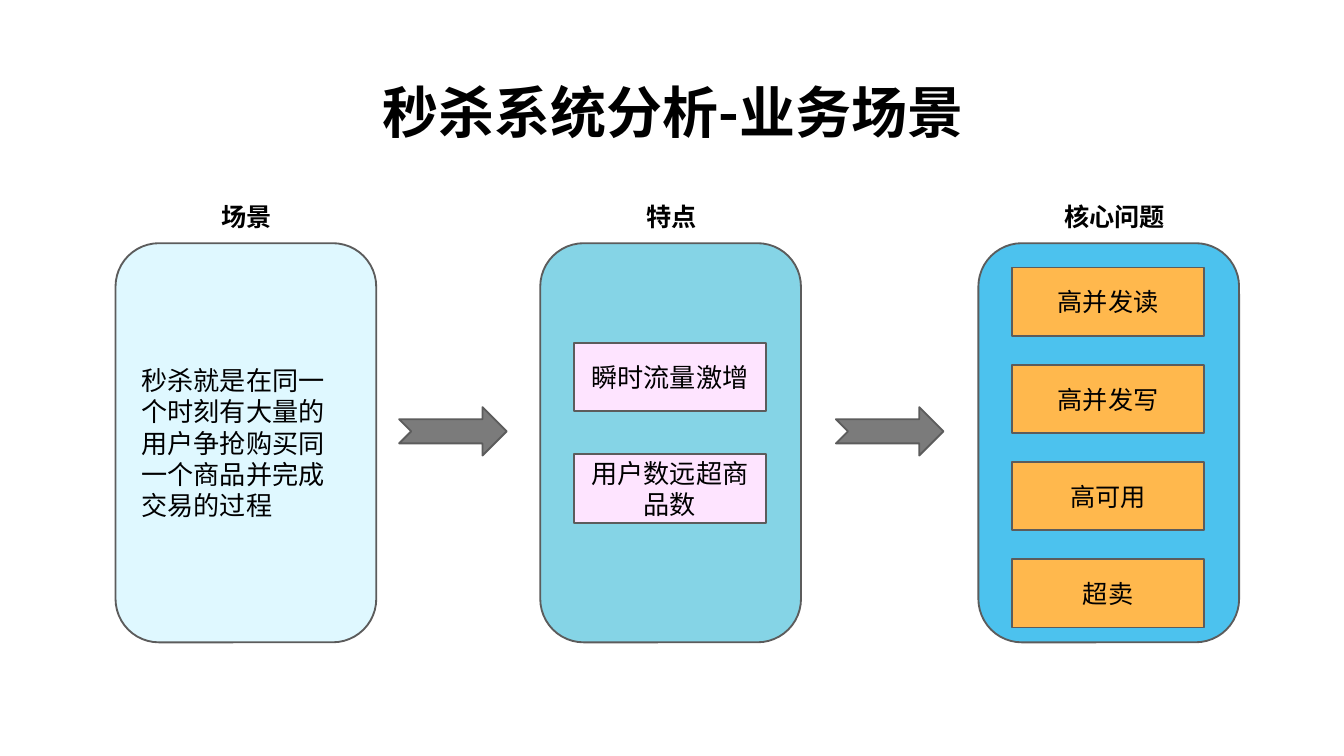
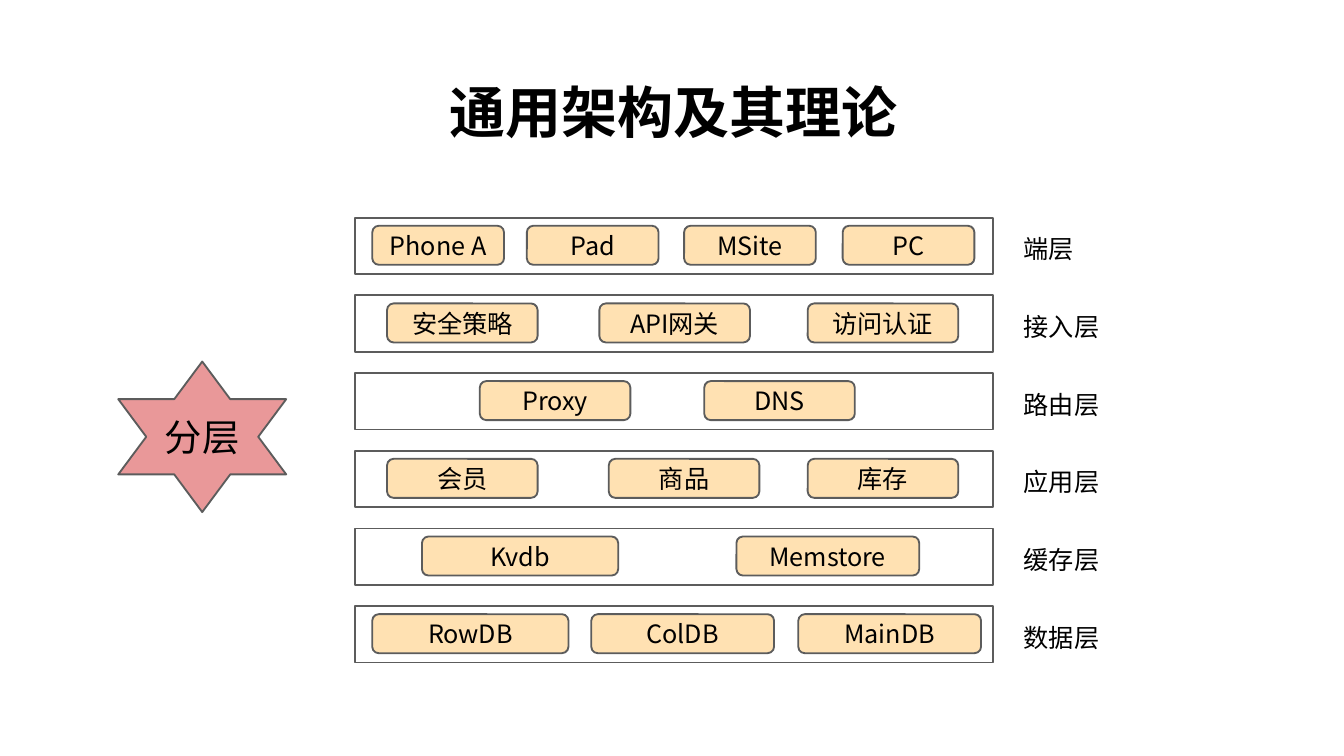
from lxml.etree import SubElement
from pptx import Presentation
from pptx.dml.color import RGBColor
from pptx.enum.shapes import MSO_SHAPE as Kind
from pptx.enum.text import MSO_ANCHOR as Anchor, PP_ALIGN as Align
from pptx.oxml.ns import qn
from pptx.util import Inches, Pt

FONT = "Noto Sans CJK SC"
BLACK = "000000"
EDGE = "5C5C5C"
ARROW = "7B7B7B"
PINK = "FEE4FF"
AMBER = "FFB84D"
PEACH = "FFE1B2"
ROSE = "E99899"

CARD_TOP, CARD_W, CARD_H = 1.81, 1.94, 2.97
CARDS = [
    ("场景", 0.86, 1.41, 0.85, "DFF8FF"),
    ("特点", 4.02, 4.57, 0.85, "85D4E6"),
    ("核心问题", 7.28, 7.81, 0.97, "4CC2EE"),
]
STORY = "秒杀就是在同一个时刻有大量的用户争抢购买同一个商品并完成交易的过程"
TRAITS = ["瞬时流量激增", "用户数远超商品数"]
ISSUES = ["高并发读", "高并发写", "高可用", "超卖"]

ROW_LEFT, ROW_TOP, ROW_STEP = 2.64, 1.62, 2.89 / 5
LAYERS = [
    ("端层", 0.77, [("Phone A", 2.77, 0.98), ("Pad", 3.92, 0.98),
                  ("MSite", 5.09, 0.98), ("PC", 6.27, 0.98)]),
    ("接入层", 0.92, [("安全策略", 2.88, 1.12), ("API网关", 4.46, 1.12),
                   ("访问认证", 6.01, 1.12)]),
    ("路由层", 0.92, [("Proxy", 3.57, 1.12), ("DNS", 5.24, 1.12)]),
    ("应用层", 0.92, [("会员", 2.88, 1.12), ("商品", 4.53, 1.12),
                   ("库存", 6.01, 1.12)]),
    ("缓存层", 0.92, [("Kvdb", 3.14, 1.46), ("Memstore", 5.48, 1.36)]),
    ("数据层", 0.92, [("RowDB", 2.77, 1.46), ("ColDB", 4.4, 1.36),
                   ("MainDB", 5.94, 1.36)]),
]


def color(code):
    return RGBColor.from_string(code)


def write(frame, text, size, align=Align.CENTER, bold=False, inset=0):
    frame.word_wrap = True
    frame.margin_top = frame.margin_bottom = Inches(inset)
    para = frame.paragraphs[0]
    para.text = text
    para.alignment = align
    font = para.font
    font.name = FONT
    font.size = Pt(size)
    font.bold = bold
    font.color.rgb = color(BLACK)
    SubElement(font._rPr, qn("a:ea")).set("typeface", FONT)


def add_page(deck, text):
    slide = deck.slides.add_slide(deck.slide_layouts[5])
    title = slide.shapes.title
    title.left, title.top = Inches(0.51), Inches(0.53)
    title.width, title.height = Inches(9), Inches(0.63)
    write(title.text_frame, text, 30, bold=True, inset=0.05)
    title.text_frame.vertical_anchor = Anchor.TOP
    return slide


def add_box(slide, kind, area, fill=None, text="", size=13.5, align=Align.CENTER):
    box = slide.shapes.add_shape(kind, *map(Inches, area))
    box.shadow.inherit = False
    if fill:
        box.fill.solid()
        box.fill.fore_color.rgb = color(fill)
    else:
        box.fill.background()
    box.line.color.rgb = color(EDGE)
    box.line.width = Pt(1)
    if text:
        write(box.text_frame, text, size, align)
        box.text_frame.vertical_anchor = Anchor.MIDDLE


def add_label(slide, area, text, align, bold=False):
    label = slide.shapes.add_textbox(*map(Inches, area))
    write(label.text_frame, text, 13.5, align, bold, 0.05)


def add_stack(slide, left, top, step, items, fill, size):
    for i, text in enumerate(items):
        area = (left, top + i * step, 1.43, 0.51)
        add_box(slide, Kind.RECTANGLE, area, fill, text, size)


def build_scene(deck):
    slide = add_page(deck, "秒杀系统分析-业务场景")
    for name, left, start, width, fill in CARDS:
        text = STORY if name == "场景" else ""
        area = (left, CARD_TOP, CARD_W, CARD_H)
        add_box(slide, Kind.ROUNDED_RECTANGLE, area, fill, text, 14, Align.LEFT)
        add_label(slide, (start, 1.45, width, 0.36), name, Align.CENTER, True)
    for left in (2.97, 6.22):
        area = (left, 3.03, 0.8, 0.36)
        add_box(slide, Kind.NOTCHED_RIGHT_ARROW, area, ARROW)
    add_stack(slide, 7.53, 1.99, 2.17 / 3, ISSUES, AMBER, 13.5)
    add_stack(slide, 4.27, 2.55, 0.83, TRAITS, PINK, 14)


def build_layers(deck):
    slide = add_page(deck, "通用架构及其理论")
    for i, (name, wide, chips) in enumerate(LAYERS):
        top = ROW_TOP + i * ROW_STEP
        add_box(slide, Kind.RECTANGLE, (ROW_LEFT, top, 4.75, 0.42))
        add_label(slide, (7.52, top + 0.07, wide, 0.28), name, Align.LEFT)
        for text, left, width in chips:
            area = (left, top + 0.06, width, 0.29)
            add_box(slide, Kind.ROUNDED_RECTANGLE, area, PEACH, text)
    add_box(slide, Kind.STAR_6_POINT, (0.88, 2.69, 1.25, 1.12), ROSE, "分层", 20)


def main():
    deck = Presentation()
    deck.slide_width, deck.slide_height = Inches(10), Inches(45 / 8)
    build_scene(deck)
    build_layers(deck)
    deck.save("out.pptx")


if __name__ == "__main__":
    main()
